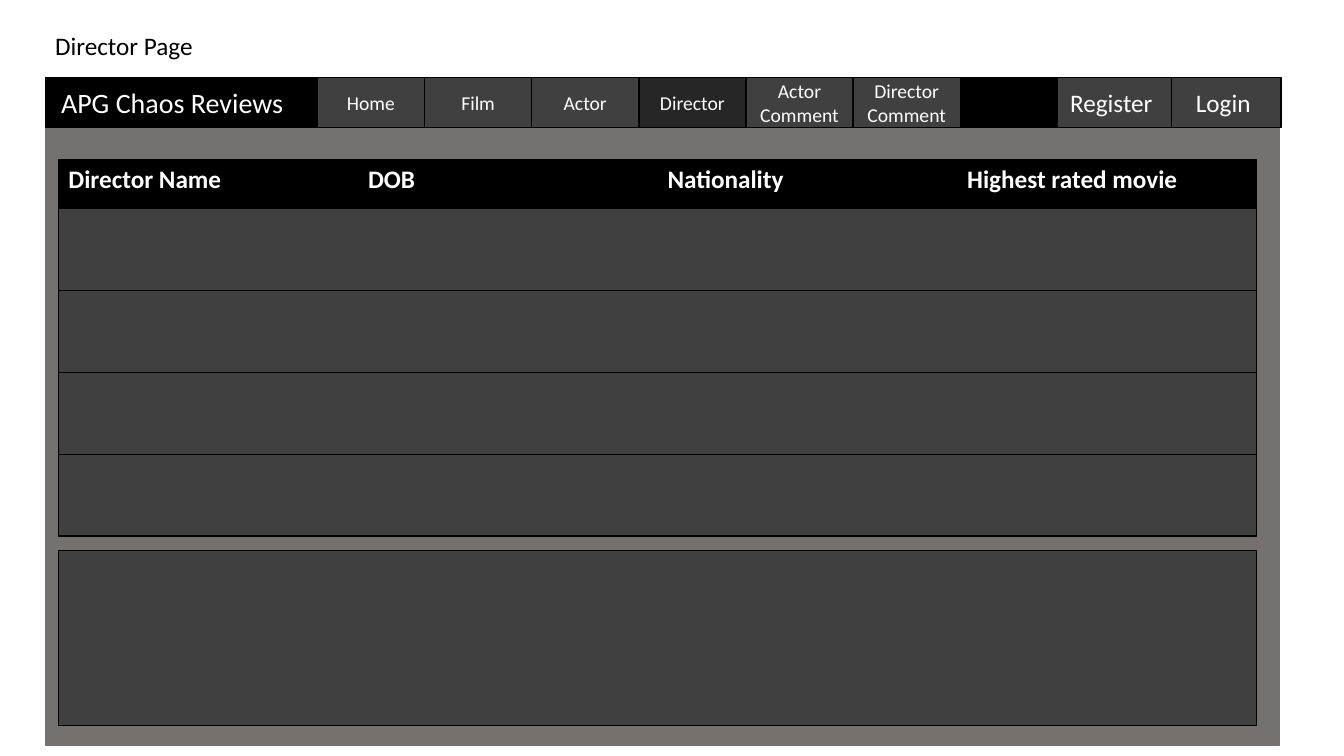
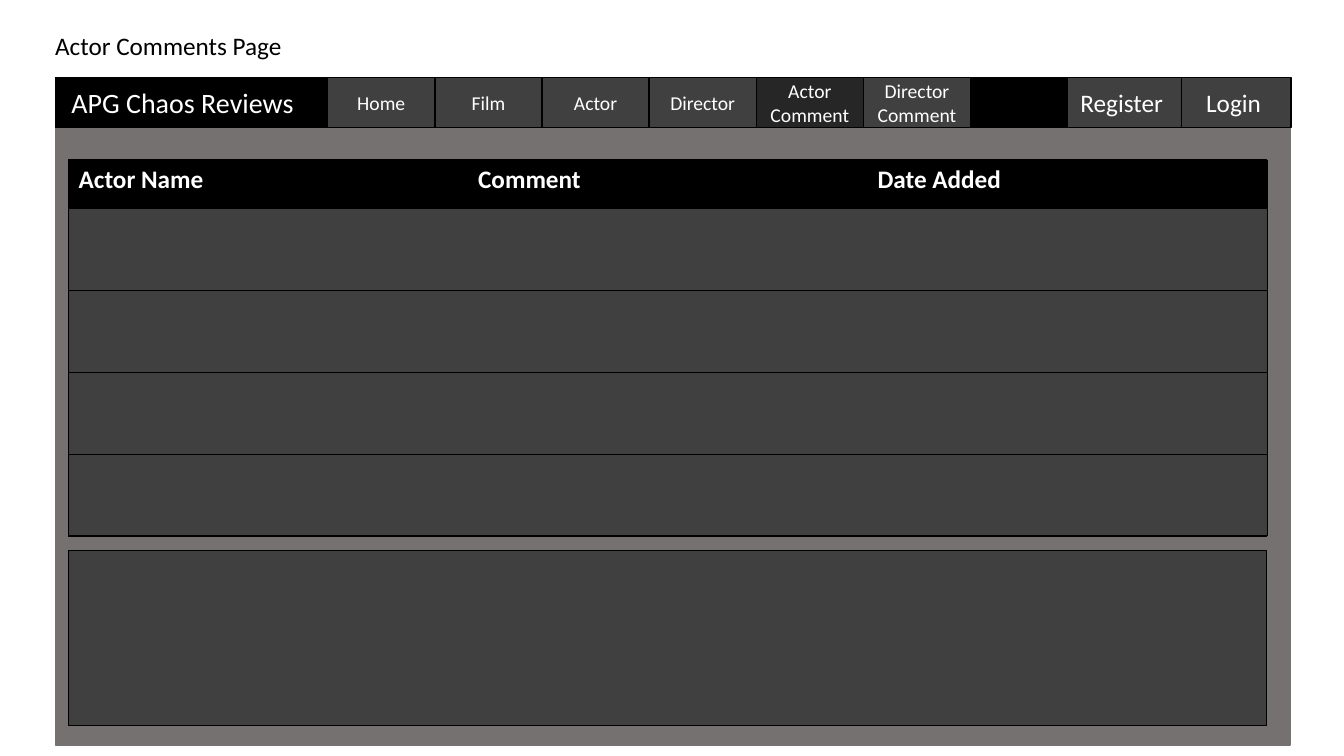
from dataclasses import dataclass

from lxml.etree import SubElement
from pptx import Presentation
from pptx.dml.color import RGBColor
from pptx.enum.shapes import MSO_SHAPE as Preset
from pptx.enum.text import MSO_ANCHOR as Anchor, MSO_AUTO_SIZE as AutoSize, PP_ALIGN as Align
from pptx.oxml.ns import qn
from pptx.shapes.autoshape import Shape
from pptx.slide import Slide
from pptx.table import _Cell as Cell
from pptx.text.text import TextFrame
from pptx.util import Cm, Pt

BLACK = RGBColor(0x00, 0x00, 0x00)
WHITE = RGBColor(0xFF, 0xFF, 0xFF)
PAGE_GREY = RGBColor(0x76, 0x71, 0x71)
PANEL_GREY = RGBColor(0x40, 0x40, 0x40)
ACTIVE_GREY = RGBColor(0x26, 0x26, 0x26)

FONT = "Calibri"
SITE_NAME = "APG Chaos Reviews"

PAGE_WIDTH = 31.11
BAR_TOP, BAR_HEIGHT = 1.96, 1.25
TABS = ("Home", "Film", "Actor", "Director", "Actor Comment", "Director Comment")
TAB_OFFSET, TAB_WIDTH = 6.86, 2.7
PANEL_OFFSET, PANEL_WIDTH = 0.33, 30.2
HEADER_HEIGHT, ROW_HEIGHT, BODY_ROWS = 1.23, 2.06, 4


@dataclass(frozen=True)
class Box:
    left: float
    top: float
    width: float
    height: float

    def lengths(self) -> tuple:
        return Cm(self.left), Cm(self.top), Cm(self.width), Cm(self.height)


@dataclass(frozen=True)
class Button:
    label: str
    offset: float
    width: float
    size: int


@dataclass(frozen=True)
class Page:
    title: str
    left: float
    active_tab: str
    headings: tuple[str, ...]


BUTTONS = [
    Button(label, TAB_OFFSET + index * TAB_WIDTH, TAB_WIDTH, 14)
    for index, label in enumerate(TABS)
] + [
    Button("Register ", 25.5, 2.88, 18),
    Button("Login ", 28.38, 2.76, 18),
]

PAGES = (
    Page("Director Page", 1.14, "Director",
         ("Director Name", "DOB", "Nationality", "Highest rated movie")),
    Page("Actor Comments Page", 1.4, "Actor Comment",
         ("Actor Name", "Comment", "Date Added")),
)


def write_text(frame: TextFrame, text: str, *, size: int = 18, color: RGBColor = WHITE,
               bold: bool = False, align: Align = Align.LEFT) -> None:
    paragraph = frame.paragraphs[0]
    paragraph.alignment = align
    run = paragraph.add_run()
    run.text = text
    run.font.name = FONT
    run.font.size = Pt(size)
    run.font.bold = bold
    run.font.color.rgb = color


def add_rectangle(slide: Slide, box: Box, fill: RGBColor, *,
                  line: RGBColor = BLACK, line_width: float = 1) -> Shape:
    shape = slide.shapes.add_shape(Preset.RECTANGLE, *box.lengths())
    shape.shadow.inherit = False
    shape.fill.solid()
    shape.fill.fore_color.rgb = fill
    shape.line.color.rgb = line
    shape.line.width = Pt(line_width)
    return shape


def add_label(slide: Slide, box: Box, text: str, *, size: int, color: RGBColor) -> None:
    frame = slide.shapes.add_textbox(*box.lengths()).text_frame
    frame.word_wrap = True
    frame.auto_size = AutoSize.SHAPE_TO_FIT_TEXT
    write_text(frame, text, size=size, color=color)


def add_button(slide: Slide, page: Page, button: Button) -> None:
    fill = ACTIVE_GREY if button.label == page.active_tab else PANEL_GREY
    box = Box(page.left + button.offset, BAR_TOP, button.width, BAR_HEIGHT)
    frame = add_rectangle(slide, box, fill).text_frame
    frame.word_wrap = True
    frame.vertical_anchor = Anchor.MIDDLE
    write_text(frame, button.label, size=button.size, align=Align.CENTER)


def set_borders(cell: Cell, visible: dict[str, bool]) -> None:
    properties = cell._tc.get_or_add_tcPr()
    for side, shown in visible.items():
        line = SubElement(properties, qn(f"a:ln{side}"), w=str(Pt(0.5)))
        if shown:
            fill = SubElement(line, qn("a:solidFill"))
            SubElement(fill, qn("a:srgbClr"), val=str(BLACK))
        else:
            SubElement(line, qn("a:noFill"))


def add_listing(slide: Slide, page: Page) -> None:
    count = len(page.headings)
    box = Box(page.left + PANEL_OFFSET, 4.03, PANEL_WIDTH,
              HEADER_HEIGHT + BODY_ROWS * ROW_HEIGHT)
    table = slide.shapes.add_table(BODY_ROWS + 1, count, *box.lengths()).table
    table.first_row = False
    table.horz_banding = False
    for column in table.columns:
        column.width = Cm(PANEL_WIDTH / count)
    for row_index, row in enumerate(table.rows):
        is_header = row_index == 0
        row.height = Cm(HEADER_HEIGHT if is_header else ROW_HEIGHT)
        for column_index, cell in enumerate(row.cells):
            set_borders(cell, {"L": column_index == 0, "R": column_index == count - 1,
                               "T": True, "B": True})
            cell.fill.solid()
            cell.fill.fore_color.rgb = BLACK if is_header else PANEL_GREY
            if is_header:
                write_text(cell.text_frame, page.headings[column_index], bold=True)


def add_page(presentation: Presentation, page: Page) -> None:
    slide = presentation.slides.add_slide(presentation.slide_layouts[6])
    add_rectangle(slide, Box(page.left, BAR_TOP, PAGE_WIDTH, 16.81), PAGE_GREY, line=PAGE_GREY)
    add_rectangle(slide, Box(page.left, BAR_TOP, PAGE_WIDTH, BAR_HEIGHT), BLACK)
    add_label(slide, Box(page.left + 0.15, 2.03, 6.6, 1.11), SITE_NAME, size=20, color=WHITE)
    for button in BUTTONS:
        add_button(slide, page, button)
    for top, height in ((13.87, 4.42), (4.01, 9.5)):
        panel = Box(page.left + PANEL_OFFSET, top, PANEL_WIDTH, height)
        add_rectangle(slide, panel, PANEL_GREY, line_width=0.75)
    add_listing(slide, page)
    add_label(slide, Box(1.14, 0.64, 30.94, 1.03), page.title, size=18, color=BLACK)


def main() -> None:
    presentation = Presentation()
    presentation.slide_width = Cm(33.87)
    presentation.slide_height = Cm(19.05)
    for page in PAGES:
        add_page(presentation, page)
    presentation.save("out.pptx")


if __name__ == "__main__":
    main()
